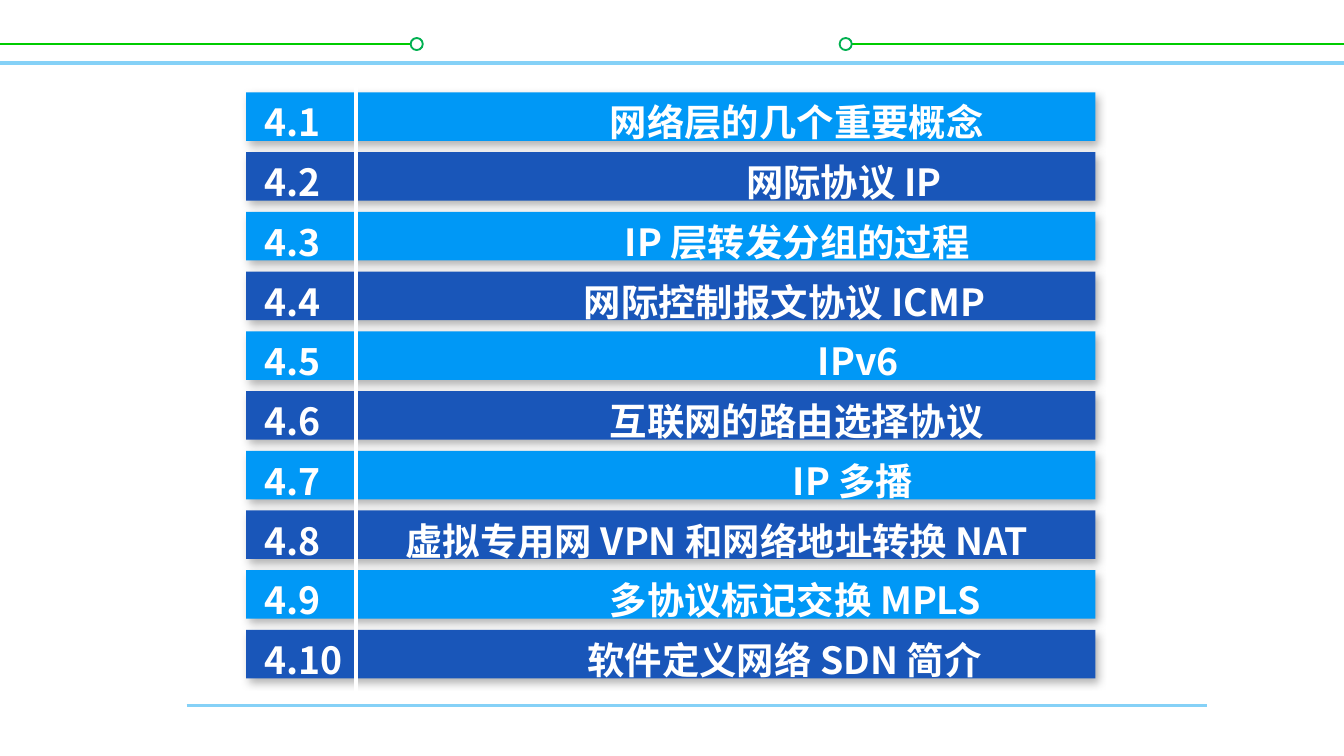
"""Build the chapter contents slide with ten numbered, banded rows."""
import lxml.etree
import pptx
import pptx.dml.color
import pptx.enum.shapes
import pptx.enum.text
import pptx.oxml
import pptx.oxml.ns
import pptx.util

Pt = pptx.util.Pt
Shapes = pptx.enum.shapes.MSO_SHAPE
qn = pptx.oxml.ns.qn

SECTIONS = [
    ("4.1", "网络层的几个重要概念", 185),
    ("4.2", "网际协议 IP", 258),
    ("4.3", "IP 层转发分组的过程", 193),
    ("4.4", "网际控制报文协议 ICMP", 171),
    ("4.5", "IPv6", 296.5),
    ("4.6", "互联网的路由选择协议", 185),
    ("4.7", "IP 多播", 283),
    ("4.8", "虚拟专用网 VPN 和网络地址转换 NAT", 75.5),
    ("4.9", "多协议标记交换 MPLS", 185),
    ("4.10", "软件定义网络 SDN 简介", 173),
]
THEME = {
    "font": "Noto Sans CJK SC", "size": 20, "white": "FFFFFF",
    "bands": ("0098F6", "1956B9"), "sky": "85D1F7",
    "green": "00CC00", "ring": "00B050",
}
SLIDE_WIDTH, SLIDE_HEIGHT = 720, 405
ROW_LEFT, ROW_TOP, ROW_WIDTH, ROW_HEIGHT, ROW_PITCH = 131.8, 49.5, 455, 26, 32
RULE_Y, RING_SIZE = 23.6, 6.5
RULES = [
    (100, 378, 646.5, 378, "sky", 1.5),
    (0, 33.8, SLIDE_WIDTH, 33.8, "sky", 2),
    (0, RULE_Y, 223, RULE_Y, "green", 1),
    (450, RULE_Y, SLIDE_WIDTH, RULE_Y, "green", 1),
]
RING_LEFTS = (220, 449.8)
DIVIDER = (190.6, 39.5, 190.6, 372, "white", 2.25)
SHADOW = (
    '<a:effectLst xmlns:a="http://schemas.openxmlformats.org/drawingml/2006/main">'
    '<a:outerShdw blurRad="57150" dist="33020" dir="3180000" algn="ctr" rotWithShape="0">'
    '<a:srgbClr val="000000"><a:alpha val="30000"/></a:srgbClr>'
    "</a:outerShdw></a:effectLst>"
)


def color(value):
    return pptx.dml.color.RGBColor.from_string(value)


def add_rule(slide, left, top, right, bottom, color_name, width):
    rule = slide.shapes.add_connector(
        pptx.enum.shapes.MSO_CONNECTOR.STRAIGHT, Pt(left), Pt(top), Pt(right), Pt(bottom))
    rule.line.color.rgb = color(THEME[color_name])
    rule.line.width = Pt(width)
    lxml.etree.SubElement(rule._element.spPr, qn("a:effectLst"))


def add_filled(slide, kind, left, top, width, height, fill):
    shape = slide.shapes.add_shape(kind, Pt(left), Pt(top), Pt(width), Pt(height))
    shape.fill.solid()
    shape.fill.fore_color.rgb = color(fill)
    return shape


def write_text(paragraph, text, *, tab, size, font, fill, spacing, bold=True):
    tabs = lxml.etree.SubElement(paragraph._p.get_or_add_pPr(), qn("a:tabLst"))
    lxml.etree.SubElement(tabs, qn("a:tab"), pos=str(Pt(tab)), algn="l")
    paragraph.line_spacing = Pt(spacing)
    run = paragraph.add_run()
    run.text = text
    run.font.size = Pt(size)
    run.font.bold = bold
    run.font.color.rgb = color(fill)
    run.font.name = font
    lxml.etree.SubElement(run._r.get_or_add_rPr(), qn("a:ea"), typeface=font)


def main():
    presentation = pptx.Presentation()
    presentation.slide_width = Pt(SLIDE_WIDTH)
    presentation.slide_height = Pt(SLIDE_HEIGHT)
    slide = presentation.slides.add_slide(presentation.slide_layouts[6])

    for rule in RULES:
        add_rule(slide, *rule)
    for left in RING_LEFTS:
        ring = add_filled(slide, Shapes.OVAL, left, RULE_Y - RING_SIZE / 2,
                          RING_SIZE, RING_SIZE, THEME["white"])
        ring.line.color.rgb = color(THEME["ring"])
        ring.line.width = Pt(1)
        ring.shadow.inherit = False

    for index in range(len(SECTIONS)):
        band = add_filled(slide, Shapes.RECTANGLE, ROW_LEFT, ROW_TOP + index * ROW_PITCH,
                          ROW_WIDTH, ROW_HEIGHT, THEME["bands"][index % 2])
        band.line.fill.background()
        band._element.spPr.append(pptx.oxml.parse_xml(SHADOW))
    add_rule(slide, *DIVIDER)

    contents = slide.shapes.add_textbox(Pt(134.6), Pt(41.8), Pt(447), Pt(330.5))
    frame = contents.text_frame
    frame.word_wrap = True
    frame.auto_size = pptx.enum.text.MSO_AUTO_SIZE.SHAPE_TO_FIT_TEXT
    for index, (number, title, tab) in enumerate(SECTIONS):
        paragraph = frame.add_paragraph() if index else frame.paragraphs[0]
        write_text(paragraph, f"{number}\t{title}", tab=tab, size=THEME["size"],
                   font=THEME["font"], fill=THEME["white"], spacing=ROW_PITCH)

    presentation.save("out.pptx")


if __name__ == "__main__":
    main()
